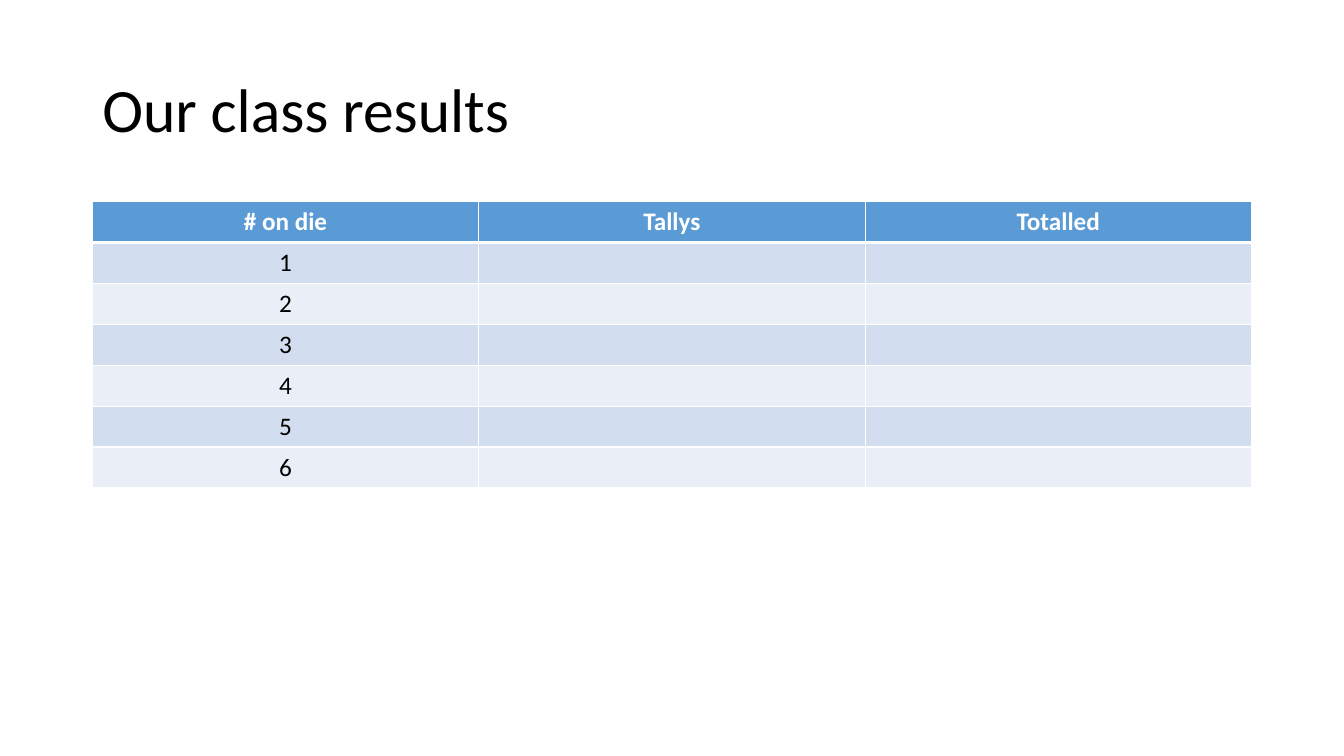
from lxml.etree import SubElement
from pptx import Presentation
from pptx.dml.color import RGBColor
from pptx.enum.text import MSO_ANCHOR, PP_ALIGN
from pptx.oxml.ns import qn
from pptx.util import Pt

PX = 9525
FONT = "Calibri"
BLACK = RGBColor(0x00, 0x00, 0x00)
WHITE = RGBColor(0xFF, 0xFF, 0xFF)
HEADER_BLUE = RGBColor(0x5B, 0x9B, 0xD5)
BAND_DARK = RGBColor(0xD2, 0xDE, 0xEF)
BAND_LIGHT = RGBColor(0xEA, 0xEF, 0xF7)

HEADINGS = ["# on die", "Tallys", "Totalled"]
DIE_FACES = range(1, 7)


def style_font(font, size, color, bold=False):
    font.name = FONT
    font.size = Pt(size)
    font.bold = bold
    font.color.rgb = color


def add_title(page, text, left, top, width, height):
    box = page.shapes.add_textbox(left * PX, top * PX, width * PX, height * PX)
    frame = box.text_frame
    frame.word_wrap = True
    frame.vertical_anchor = MSO_ANCHOR.MIDDLE
    frame.text = text
    para = frame.paragraphs[0]
    para.line_spacing = 0.9
    style_font(para.runs[0].font, 44, BLACK)


def set_borders(cell, top, bottom):
    properties = cell._tc.get_or_add_tcPr()
    widths = {"a:lnL": 1, "a:lnR": 1, "a:lnT": top, "a:lnB": bottom}
    for position, (tag, width) in enumerate(widths.items()):
        line = SubElement(properties, qn(tag), w=str(Pt(width)))
        fill = SubElement(line, qn("a:solidFill"))
        SubElement(fill, qn("a:srgbClr"), val=str(WHITE))
        properties.insert(position, line)


def add_results_table(page, left, top, width, row_height):
    rows = [HEADINGS] + [[str(face), "", ""] for face in DIE_FACES]
    frame = page.shapes.add_table(
        len(rows), len(HEADINGS),
        left * PX, top * PX, width * PX, len(rows) * row_height * PX,
    )
    table = frame.table
    for row_index, texts in enumerate(rows):
        header = row_index == 0
        band = BAND_DARK if row_index % 2 else BAND_LIGHT
        for column_index, text in enumerate(texts):
            cell = table.cell(row_index, column_index)
            cell.fill.solid()
            cell.fill.fore_color.rgb = HEADER_BLUE if header else band
            set_borders(cell, 3 if row_index == 1 else 1, 3 if header else 1)
            cell.text = text
            para = cell.text_frame.paragraphs[0]
            para.alignment = PP_ALIGN.CENTER
            for span in para.runs:
                style_font(span.font, 18, WHITE if header else BLACK, header)


def main():
    deck = Presentation()
    deck.slide_width = 1280 * PX
    deck.slide_height = 720 * PX
    page = deck.slides.add_slide(deck.slide_layouts[6])
    add_title(page, "Our class results", 88, 38, 1104, 139)
    add_results_table(page, 88, 192, 1104, 39)
    deck.save("out.pptx")


if __name__ == "__main__":
    main()
